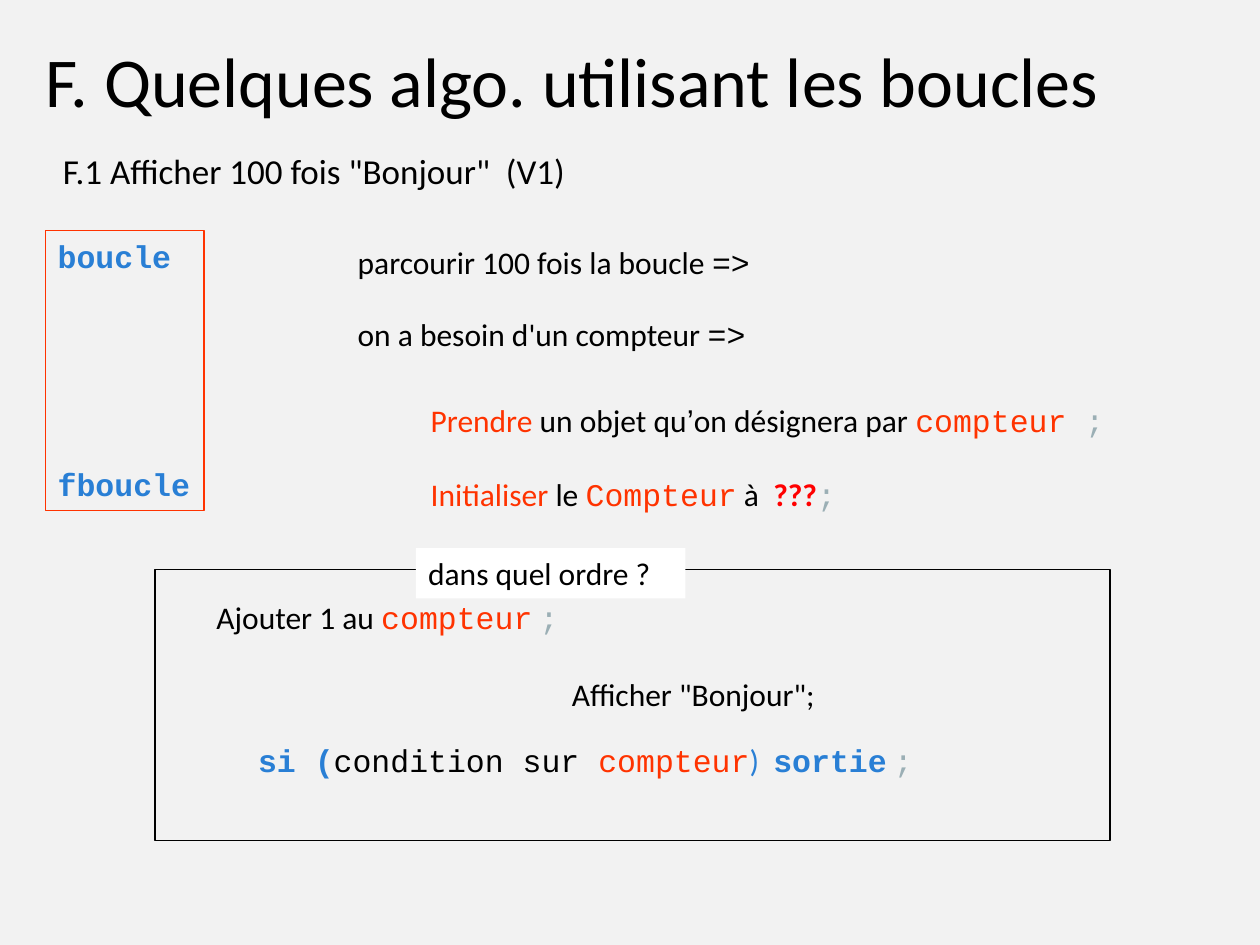
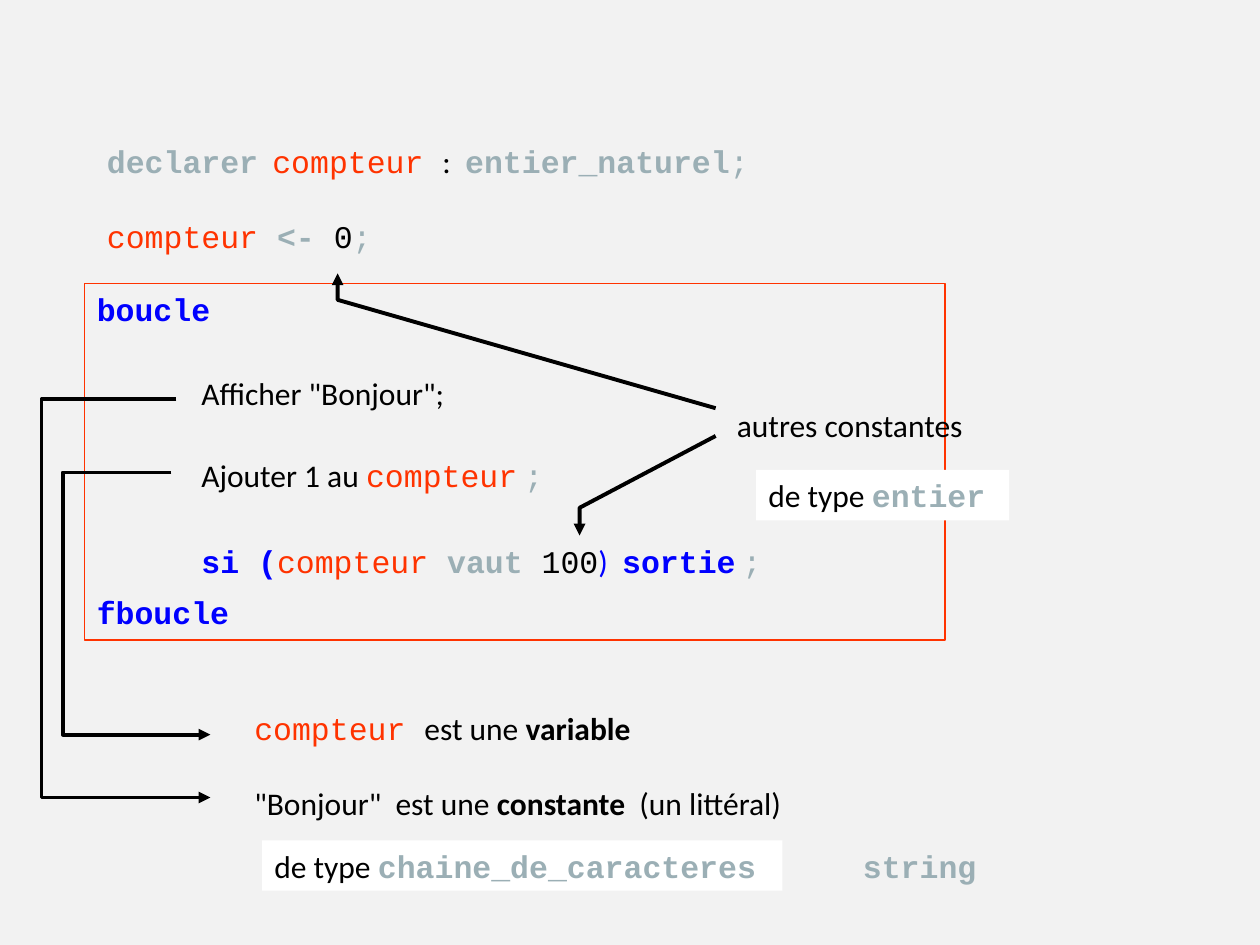
"""Build two slides on loops, counters and constants."""
from lxml import etree
from pptx import Presentation
from pptx import util as u
from pptx.dml.color import RGBColor
from pptx.enum import shapes, text
from pptx.oxml.ns import qn

BACKGROUND, WHITE, BLACK, RED = "F2F2F2", "FFFFFF", "000000", "FF3300"
GREY, SKY, BLUE = "9BAFB5", "297FD5", "0000FF"
BODY, CODE = "Calibri", "Courier New"
LINE_HEIGHT = 0.4

STYLES = {
    "plain": (BODY, BLACK, False),
    "strong": (BODY, BLACK, True),
    "quote": ("Arial", BLACK, False),
    "action": (BODY, RED, False),
    "unknown": (BODY, "FF0000", True),
    "code": (CODE, BLACK, False),
    "variable": (CODE, RED, False),
    "end": (CODE, GREY, False),
    "type": (CODE, GREY, True),
    "sky": (CODE, SKY, True),
    "sky bracket": (BODY, SKY, False),
    "blue": (CODE, BLUE, True),
    "blue bracket": (BODY, BLUE, False),
}

DISPLAY = [("Afficher \"Bonjour\";", "plain")]
INCREMENT = [("Ajouter 1 au ", "plain"), ("compteur", "variable"), (" ", "plain"), (";", "end")]


def exit_test(keyword, condition):
    return [("si (", keyword), *condition, (")  ", keyword + " bracket"),
            ("sortie", keyword), (" ", "plain"), (";", "end")]


SLIDES = [
    {
        "loop": (0.36, 1.83, 1.26, 2.22, "sky", 109),
        "frames": [(1.23, 4.52, 7.58, 2.15, BLACK)],
        "texts": [
            (0.26, 0.25, 9.7, 40, [("F. Quelques algo. utilisant les boucles", "plain")]),
            (0.4, 1.14, 5.27, 20, [("F.1 Afficher 100 fois \"Bonjour\"  (V1)", "plain")]),
            (2.74, 1.88, 3.59, 18, [("parcourir 100 fois la boucle ", "plain"), ("=>", "code")]),
            (2.74, 2.45, 3.54, 18, [("on a besoin d'un compteur ", "plain"), ("=>", "code")]),
            (3.32, 3.13, 5.79, 18, [("Prendre", "action"), (" un objet qu", "plain"), ("’", "quote"),
                                    ("on désignera par ", "plain"), ("compteur ", "variable"),
                                    (";", "end")]),
            (3.32, 3.72, 3.6, 18, [("Initialiser", "action"), (" le ", "plain"),
                                   ("Compteur", "variable"), (" à  ", "plain"),
                                   ("???", "unknown"), (";", "end")]),
            (1.62, 4.7, 3.07, 18, INCREMENT),
            (4.44, 5.31, 2.31, 18, DISPLAY),
            (1.95, 5.83, 5.47, 18, exit_test("sky", [("condition sur ", "code"),
                                                     ("compteur", "variable")])),
        ],
        "labels": [(3.3, 4.35, 2.14, 18, [("dans quel ordre ?", "plain")])],
        "arrows": [],
    },
    {
        "loop": (0.67, 2.25, 6.83, 2.83, "blue", 152),
        "frames": [],
        "texts": [
            (0.75, 1.08, 5.41, 18, [("declarer", "type"), ("  ", "plain"), ("compteur ", "variable"),
                                    (":  ", "plain"), ("entier_naturel", "type"), (";", "end")]),
            (0.75, 1.67, 2.32, 18, [("compteur ", "variable"), ("<-", "type"), (" 0", "code"),
                                    (";", "end")]),
            (1.5, 2.92, 2.31, 18, DISPLAY),
            (1.5, 3.57, 3.07, 18, INCREMENT),
            (1.5, 4.25, 4.72, 18, exit_test("blue", [("compteur ", "variable"), ("vaut", "type"),
                                                     (" 100", "code")])),
            (5.75, 3.17, 2.12, 18, [("autres constantes", "plain")]),
            (1.92, 5.58, 3.44, 18, [("compteur ", "variable"), ("est une ", "plain"),
                                    ("variable", "strong")]),
            (1.92, 6.17, 4.73, 18, [("\"Bonjour\"  est une ", "plain"), ("constante", "strong"),
                                    ("  (un littéral)", "plain")]),
            (6.75, 6.67, 1.11, 18, [("string", "type")]),
        ],
        "labels": [
            (6, 3.73, 2.01, 18, [("de type ", "plain"), ("entier", "type")]),
            (2.08, 6.67, 4.13, 18, [("de type ", "plain"), ("chaine_de_caracteres", "type")]),
        ],
        "arrows": [
            [(1.36, 3.75), (0.5, 3.75), (0.5, 5.83), (1.67, 5.83)],
            [(1.4, 3.17), (0.33, 3.17), (0.33, 6.33), (1.67, 6.33)],
            [(5.68, 3.24), (2.68, 2.38), (2.68, 2.17)],
            [(5.68, 3.46), (4.6, 4.03), (4.6, 4.25)],
        ],
    },
]


def color(value):
    return RGBColor.from_string(value)


def write_runs(paragraph, runs, size):
    paragraph.alignment = text.PP_ALIGN.LEFT
    for words, style in runs:
        run = paragraph.add_run()
        run.text = words
        name, hue, bold = STYLES[style]
        run.font.name, run.font.bold, run.font.size = name, bold, u.Pt(size)
        run.font.color.rgb = color(hue)


def prepare_frame(shape):
    frame = shape.text_frame
    frame.word_wrap = True
    frame.vertical_anchor = text.MSO_ANCHOR.TOP
    frame.margin_right = 0
    return frame


def add_text(slide, left, top, width, size, runs):
    box = slide.shapes.add_textbox(*map(u.Inches, (left, top, width, LINE_HEIGHT)))
    write_runs(prepare_frame(box).paragraphs[0], runs, size)
    return box


def add_label(slide, *content):
    box = add_text(slide, *content)
    box.fill.solid()
    box.fill.fore_color.rgb = color(WHITE)


def outline(shape, hue, width):
    shape.shadow.inherit = False
    shape.fill.background()
    shape.line.color.rgb = color(hue)
    shape.line.width = u.Pt(width)


def add_frame(slide, left, top, width, height, hue):
    frame = slide.shapes.add_shape(shapes.MSO_SHAPE.RECTANGLE,
                                   *map(u.Inches, (left, top, width, height)))
    outline(frame, hue, 0.75)
    return frame


def add_loop(slide, left, top, width, height, style, gap):
    frame = prepare_frame(add_frame(slide, left, top, width, height, RED))
    write_runs(frame.paragraphs[0], [("boucle", style)], 18)
    closing = frame.add_paragraph()
    closing.space_before = u.Pt(gap)
    write_runs(closing, [("fboucle", style)], 18)


def add_arrow(slide, points):
    start, *others = [(u.Inches(x), u.Inches(y)) for x, y in points]
    builder = slide.shapes.build_freeform(*start)
    builder.add_line_segments(others, close=False)
    arrow = builder.convert_to_shape()
    outline(arrow, BLACK, 2.25)
    etree.SubElement(arrow.line._get_or_add_ln(), qn("a:tailEnd"), type="triangle")


def main():
    presentation = Presentation()
    presentation.slide_width, presentation.slide_height = u.Inches(10), u.Inches(7.5)
    background = presentation.slide_master.background.fill
    background.solid()
    background.fore_color.rgb = color(BACKGROUND)
    for content in SLIDES:
        slide = presentation.slides.add_slide(presentation.slide_layouts[6])
        add_loop(slide, *content["loop"])
        for frame in content["frames"]:
            add_frame(slide, *frame)
        for item in content["texts"]:
            add_text(slide, *item)
        for points in content["arrows"]:
            add_arrow(slide, points)
        for label in content["labels"]:
            add_label(slide, *label)
    presentation.save("out.pptx")


if __name__ == "__main__":
    main()
